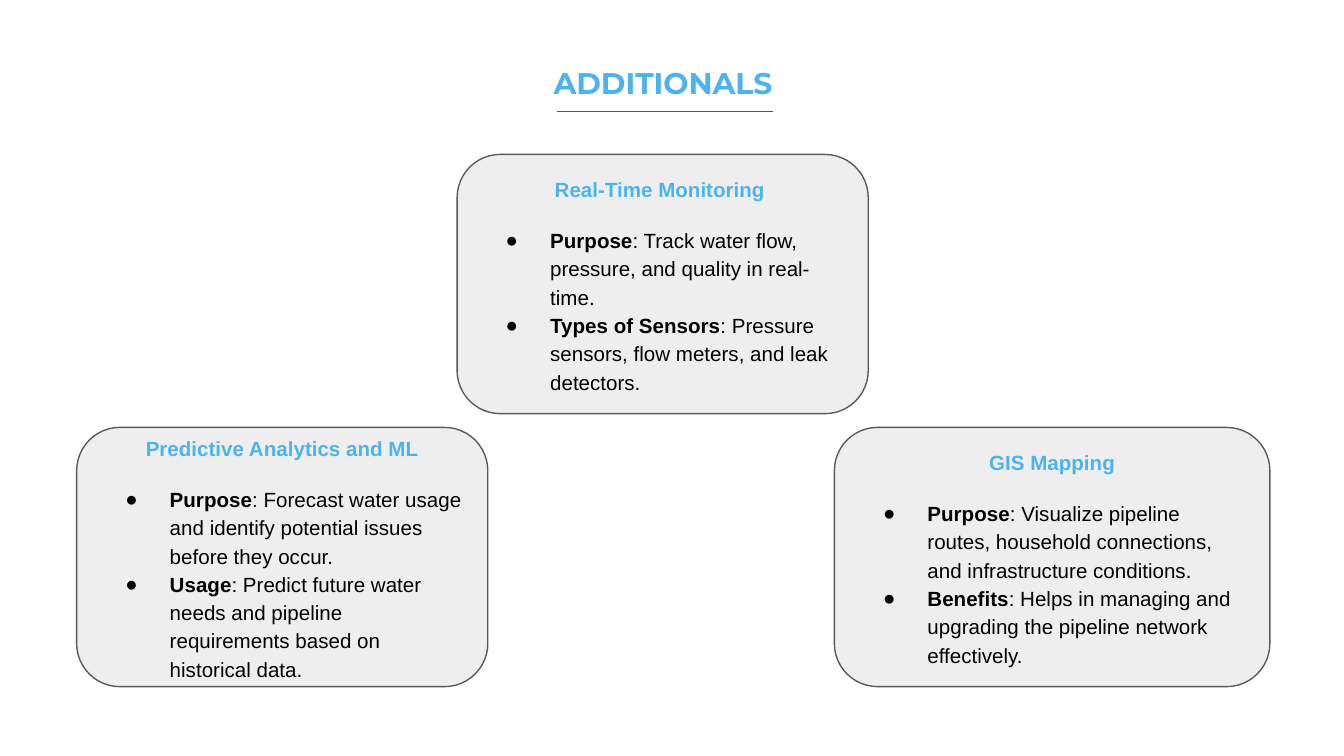
from dataclasses import dataclass

from lxml import etree
from pptx import Presentation
from pptx.dml.color import RGBColor
from pptx.enum.shapes import MSO_CONNECTOR, MSO_SHAPE
from pptx.enum.text import MSO_ANCHOR, MSO_AUTO_SIZE, PP_ALIGN
from pptx.oxml.ns import qn
from pptx.util import Cm, Pt

ROUND = MSO_SHAPE.ROUNDED_RECTANGLE
LINE = MSO_CONNECTOR.STRAIGHT
TOP, MIDDLE = MSO_ANCHOR.TOP, MSO_ANCHOR.MIDDLE
LEFT, CENTER = PP_ALIGN.LEFT, PP_ALIGN.CENTER
FIXED = MSO_AUTO_SIZE.NONE

BLUE, GREY, PALE, BLACK = "4DB3EC", "595959", "EEEEEE", "000000"
HIGH = 4.9   # card height, cm
LOW = 8.08   # top of the lower cards, cm


@dataclass
class Card:
    left: float
    top: float
    width: float
    head: str
    items: list[tuple[str, str]]


CARDS = [
    Card(8.64, 2.92, 7.77, "Real-Time Monitoring ", [
        ("Purpose", ": Track water flow, pressure, and quality in real-time."),
        ("Types of Sensors",
         ": Pressure sensors, flow meters, and leak detectors."),
    ]),
    Card(15.77, LOW, 8.23, "GIS Mapping", [
        ("Purpose", ": Visualize pipeline routes, household connections, "
                    "and infrastructure conditions."),
        ("Benefits", ": Helps in managing and upgrading the pipeline "
                     "network effectively."),
    ]),
    Card(1.45, LOW, 7.77, "Predictive Analytics and ML", [
        ("Purpose", ": Forecast water usage and identify potential issues "
                    "before they occur."),
        ("Usage", ": Predict future water needs and pipeline requirements "
                  "based on historical data."),
    ]),
]


def color(code: str) -> RGBColor:
    return RGBColor.from_string(code)


def write(para, text: str, *, size=11, font="Arial", tint=BLACK, bold=False):
    run = para.add_run()
    run.text = text
    run.font.size = Pt(size)
    run.font.name = font
    run.font.bold = bold
    run.font.color.rgb = color(tint)


def space(para, align, lines: float, before: int) -> None:
    para.alignment = align
    para.line_spacing = lines
    para.space_before = Pt(before)
    para.space_after = Pt(0)


def bullet(para) -> None:
    props = para._p.get_or_add_pPr()
    props.set("marL", str(Cm(1.27)))
    props.set("indent", str(Cm(-0.84)))
    tint = etree.SubElement(props, qn("a:buClr"))
    etree.SubElement(tint, qn("a:srgbClr"), val=BLACK)
    etree.SubElement(props, qn("a:buFont"), typeface="Arial")
    etree.SubElement(props, qn("a:buChar"), char="●")


def frame(shape, anchor):
    body = shape.text_frame
    body.word_wrap = True
    body.auto_size = FIXED
    body.vertical_anchor = anchor
    body.margin_left = body.margin_right = Cm(0.25)
    body.margin_top = body.margin_bottom = Cm(0.25)
    return body


def draw_card(slide, card: Card) -> None:
    box = slide.shapes.add_shape(
        ROUND, Cm(card.left), Cm(card.top), Cm(card.width), Cm(HIGH))
    box.shadow.inherit = False
    box.fill.solid()
    box.fill.fore_color.rgb = color(PALE)
    box.line.color.rgb = color(GREY)
    box.line.width = Pt(0.75)

    body = frame(box, MIDDLE)
    para = body.paragraphs[0]
    space(para, CENTER, 1.15, 12)
    write(para, card.head, tint=BLUE, bold=True)
    for i, (term, rest) in enumerate(card.items):
        para = body.add_paragraph()
        space(para, LEFT, 1.15, 0 if i else 12)
        bullet(para)
        write(para, term, bold=True)
        write(para, rest)


def draw_title(slide, text: str) -> None:
    title = slide.shapes.title
    title.left, title.top = Cm(8.1), Cm(0.97)
    title.width, title.height = Cm(8.86), Cm(1.27)
    para = frame(title, TOP).paragraphs[0]
    space(para, CENTER, 1.0, 0)
    write(para, text, size=16, font="Montserrat", tint=BLUE, bold=True)


def draw_rule(slide, start: float, end: float, top: float) -> None:
    rule = slide.shapes.add_connector(
        LINE, Cm(start), Cm(top), Cm(end), Cm(top))
    rule.line.color.rgb = color(GREY)
    rule.line.width = Pt(0.75)
    etree.SubElement(rule._element.spPr, qn("a:effectLst"))


def main() -> None:
    deck = Presentation()
    deck.slide_width, deck.slide_height = Cm(25.4), Cm(14.29)
    slide = deck.slides.add_slide(deck.slide_layouts[5])

    # Heading, cards, then the rule under the heading
    draw_title(slide, "ADDITIONALS")
    for card in CARDS:
        draw_card(slide, card)
    draw_rule(slide, 10.52, 14.6, 2.11)

    deck.save("out.pptx")


if __name__ == "__main__":
    main()
